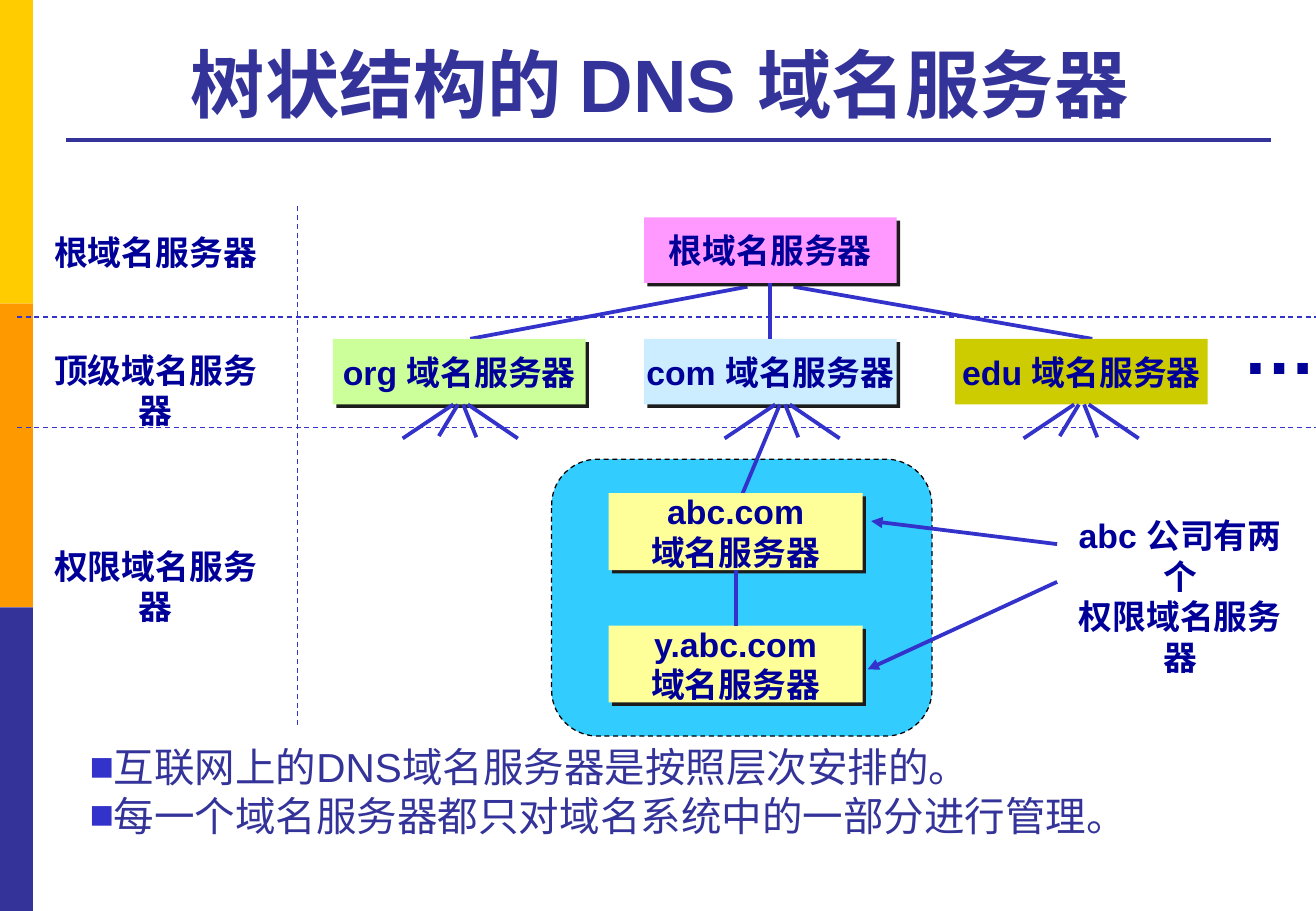
import pptx
import pptx.util
import pptx.dml.color
import pptx.enum.dml
import pptx.enum.shapes
import pptx.enum.text
import pptx.oxml
import pptx.oxml.ns

RGBColor = pptx.dml.color.RGBColor
SHAPE = pptx.enum.shapes.MSO_SHAPE
ALIGN = pptx.enum.text.PP_ALIGN
ANCHOR = pptx.enum.text.MSO_ANCHOR
DASH = pptx.enum.dml.MSO_LINE.DASH

YELLOW = RGBColor(0xFF, 0xCC, 0x00)
ORANGE = RGBColor(0xFF, 0x99, 0x00)
INDIGO = RGBColor(0x33, 0x33, 0x99)
BLUE = RGBColor(0x33, 0x33, 0xCC)
NAVY = RGBColor(0x00, 0x00, 0x99)
BLACK = RGBColor(0x00, 0x00, 0x00)
SKY = RGBColor(0x33, 0xCC, 0xFF)
PINK = RGBColor(0xFF, 0x99, 0xFF)
GREEN = RGBColor(0xCC, 0xFF, 0x99)
PALE_BLUE = RGBColor(0xCC, 0xEC, 0xFF)
OLIVE = RGBColor(0xCC, 0xCC, 0x00)
PALE_YELLOW = RGBColor(0xFF, 0xFF, 0x99)

NS = pptx.oxml.ns.nsdecls("a")
SHADOW = (f'<a:effectLst {NS}><a:outerShdw dist="35921" dir="2700000" algn="ctr" '
          'rotWithShape="0"><a:srgbClr val="1C1C1C"/></a:outerShdw></a:effectLst>')
BULLET = (f'<a:buClr {NS}><a:srgbClr val="3333CC"/></a:buClr>',
          f'<a:buFont {NS} typeface="Arial"/>',
          f'<a:buChar {NS} char="■"/>')


class Board:
    font = "Arial"

    def __init__(self, prs):
        self.prs = prs
        self.s = prs.slides.add_slide(prs.slide_layouts[5])

    def x(self, share):
        return round(self.prs.slide_width * share / 100)

    def y(self, share):
        return round(self.prs.slide_height * share / 100)

    def box(self, left, top, width, height):
        return self.x(left), self.y(top), self.x(width), self.y(height)

    def add_lines(self, tf, lines, size, color, bold=True, align=ALIGN.CENTER, bullet=False):
        for i, line in enumerate(lines):
            p = tf.add_paragraph() if i else tf.paragraphs[0]
            p.alignment = align
            if bullet:
                for xml in BULLET:
                    p._p.get_or_add_pPr().append(pptx.oxml.parse_xml(xml))
            r = p.add_run()
            r.text = line
            r.font.name = self.font
            r.font.size = pptx.util.Pt(size)
            r.font.bold = bold
            r.font.color.rgb = color

    def title(self, text, *place):
        sp = self.s.shapes.title
        sp.left, sp.top, sp.width, sp.height = self.box(*place)
        tf = sp.text_frame
        tf.auto_size = pptx.enum.text.MSO_AUTO_SIZE.NONE
        tf.vertical_anchor = ANCHOR.BOTTOM
        self.add_lines(tf, [text], 44, INDIGO)

    def text(self, lines, *place, size=20, color=NAVY, wrap=True, **style):
        tf = self.s.shapes.add_textbox(*self.box(*place)).text_frame
        tf.word_wrap = wrap
        self.add_lines(tf, lines, size, color, **style)

    def shape(self, kind, fill, *place):
        sp = self.s.shapes.add_shape(kind, *self.box(*place))
        sp.shadow.inherit = False
        sp.fill.solid()
        sp.fill.fore_color.rgb = fill
        sp.line.fill.background()
        return sp

    def server(self, lines, fill, *place, shadow=True):
        sp = self.shape(SHAPE.RECTANGLE, fill, *place)
        if shadow:
            pr = sp._element.spPr
            pr.remove(pr.find(pptx.oxml.ns.qn("a:effectLst")))
            pr.append(pptx.oxml.parse_xml(SHADOW))
        tf = sp.text_frame
        tf.word_wrap = False
        tf.vertical_anchor = ANCHOR.MIDDLE
        self.add_lines(tf, lines, 20, NAVY)
        return sp

    def line(self, x1, y1, x2, y2, color=BLUE, width=2.25, dash=False, arrow=False):
        c = self.s.shapes.add_connector(
            pptx.enum.shapes.MSO_CONNECTOR.STRAIGHT,
            self.x(x1), self.y(y1), self.x(x2), self.y(y2))
        c.line.color.rgb = color
        c.line.width = pptx.util.Pt(width)
        if dash:
            c.line.dash_style = DASH.DASH
        pr = c._element.spPr
        if arrow:
            pr.get_or_add_ln().append(
                pptx.oxml.parse_xml(f'<a:tailEnd {NS} type="triangle"/>'))
        pr.append(pptx.oxml.parse_xml(f'<a:effectLst {NS}/>'))
        return c

    def join(self, upper, lower):
        c = self.line(0, 0, 0, 0)
        c.begin_connect(upper, 2)
        c.end_connect(lower, 0)


def main():
    prs = pptx.Presentation()
    prs.slide_width = pptx.util.Inches(10.83)
    prs.slide_height = pptx.util.Inches(7.5)
    b = Board(prs)

    for i, color in enumerate((YELLOW, ORANGE, INDIGO)):
        b.shape(SHAPE.RECTANGLE, color, 0, i * 100 / 3, 2.5, 100 / 3)
    b.line(5, 15.33, 96.55, 15.33, color=INDIGO)
    b.title("树状结构的 DNS 域名服务器 ", 5.08, 2.8, 91.4, 11.87)

    zone = b.shape(SHAPE.ROUNDED_RECTANGLE, SKY, 41.92, 50.4, 28.9, 30.4)
    zone.line.color.rgb = BLACK
    zone.line.width = pptx.util.Pt(0.75)
    zone.line.dash_style = DASH.DASH

    first, step, width, height = 25.3, 23.64, 19.2, 7.2
    top = 37.2
    bottom = top + height
    for parent_x, child_x in ((56.8, 35.73), (60.3, 83)):
        b.line(parent_x, 31.47, child_x, top)
    root = b.server(["根域名服务器"], PINK, first + step, 23.87, width, height)
    domains = {"org": GREEN, "com": PALE_BLUE, "edu": OLIVE}
    tops = {}
    for i, (name, fill) in enumerate(domains.items()):
        tops[name] = b.server([name + " 域名服务器"], fill, first + i * step, top,
                              width, height, shadow=name != "edu")
    b.join(root, tops["com"])

    rays = ((-0.55, -4.4, 48.13), (-0.2, -1.65, 47.87), (0.2, 1.2, 48), (0.55, 4.35, 48.13))
    for name, hub in (("org", 35), ("com", 59.46), ("edu", 82.18)):
        for i, (start, end, end_y) in enumerate(rays):
            if name == "com" and i == 1:
                end, end_y = -3.04, 54.2
            b.line(hub + start, bottom, hub + end, end_y)
    b.text(["…"], 93.54, 32.27, 5.54, 10.93, size=44, wrap=False, align=ALIGN.LEFT)

    abc, y_abc = (b.server([name, "域名服务器"], PALE_YELLOW, 46.25, y, 19.3, 8.45)
                  for name, y in (("abc.com", 54.13), ("y.abc.com", 68.67)))
    b.join(abc, y_abc)
    b.line(80.33, 59.73, 66.2, 57.2, arrow=True)
    b.line(80.33, 63.87, 65.93, 73.47, arrow=True)
    b.text(["abc 公司有两个", "权限域名服务器"], 79.8, 55.87, 19.76, 19)

    for y in (34.8, 46.93):
        b.line(1.3, y, 100, y, width=0.75, dash=True)
    b.line(22.62, 22.67, 22.62, 79.6, width=0.75, dash=True)
    for label, y in (("根域名服务器", 24.8), ("顶级域名服务器", 37.73), ("权限域名服务器", 59.2)):
        b.text([label], 1.94, y, 19.76, 10)

    b.text(["互联网上的DNS域名服务器是按照层次安排的。",
            "每一个域名服务器都只对域名系统中的一部分进行管理。"],
           5.9, 80.8, 94, 18.67, size=24, color=INDIGO, bold=False,
           align=ALIGN.LEFT, bullet=True)
    prs.save("out.pptx")


if __name__ == "__main__":
    main()
